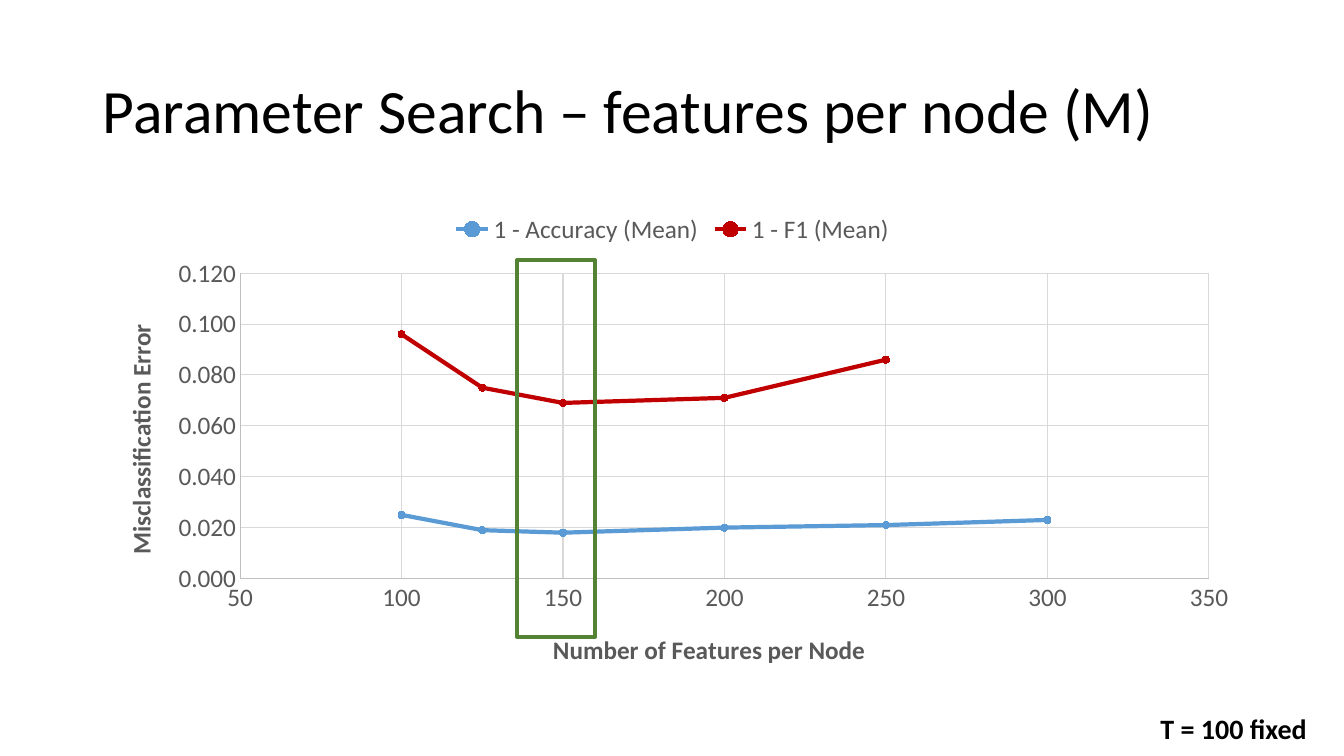
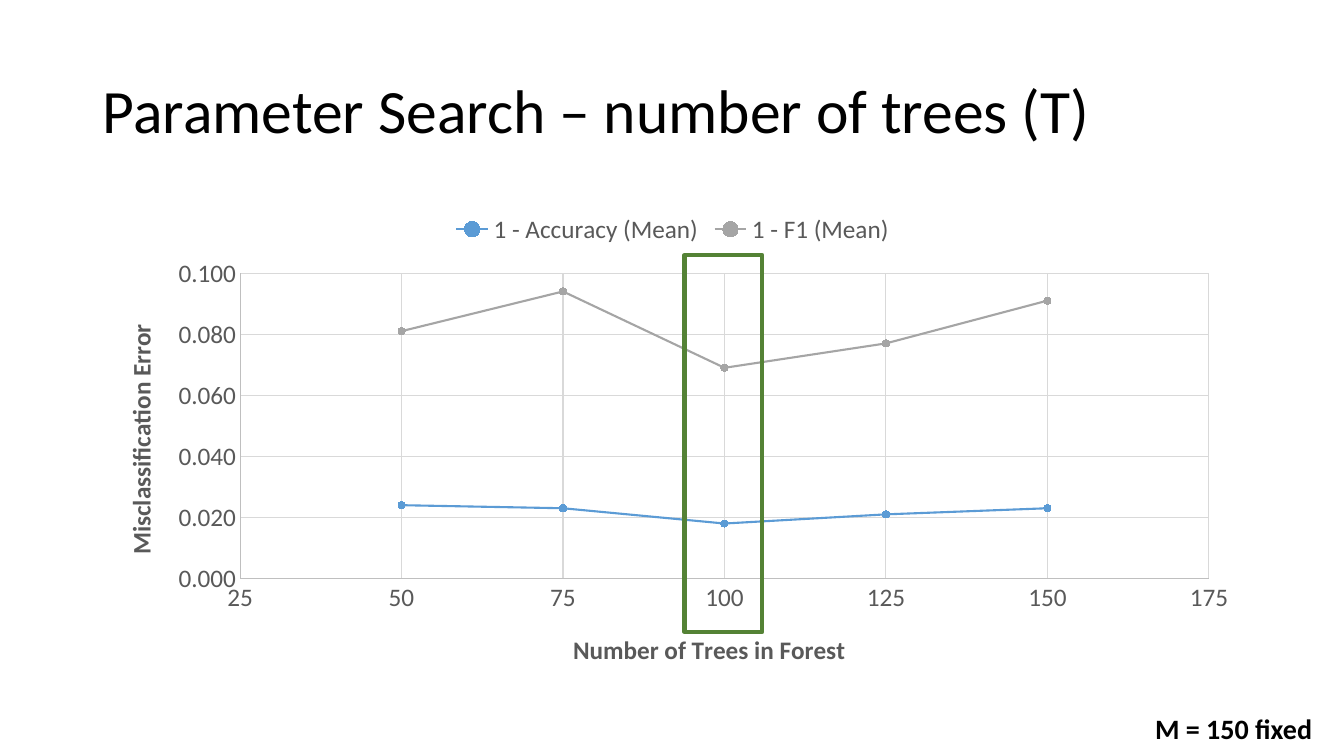
"""Build two parameter search slides, each with a scatter chart and a highlighted optimum."""
from dataclasses import dataclass
from typing import Any

from lxml import etree
from pptx import Presentation
from pptx import util as u
from pptx.chart import data
from pptx.dml import color
from pptx.enum import chart as ch
from pptx.enum import shapes, text
from pptx.oxml import ns

COLORS = {"black": "000000", "label": "595959", "axis": "BFBFBF", "grid": "D9D9D9",
          "blue": "5B9BD5", "red": "C00000", "gray": "A5A5A5", "green": "548235"}
FONT = "Calibri"
TITLE_FONT = {"name": FONT, "size": u.Pt(44), "bold": False}
NOTE_FONT = {"name": FONT, "size": u.Pt(20), "bold": True}
LABEL_FONT = {"name": FONT, "size": u.Pt(18), "bold": False}
AXIS_TITLE_FONT = LABEL_FONT | {"bold": True}
TITLE_FRAME = {"word_wrap": True, "auto_size": text.MSO_AUTO_SIZE.NONE,
               "vertical_anchor": text.MSO_ANCHOR.MIDDLE}
NOTE_FRAME = {"word_wrap": True, "auto_size": text.MSO_AUTO_SIZE.SHAPE_TO_FIT_TEXT}

Box = tuple[float, float, float, float]
TITLE_BOX: Box = (0.92, 0.4, 11.5, 1.45)
CHART_BOX: Box = (0.92, 2, 11.5, 4.76)
NOTE_BOX: Box = (11.14, 7.01, 2.19, 0.44)
PLOT_BOX: Box = (2.38, 2.71, 9.61, 3.03)
HIGHLIGHT_SIZE = (0.77, 3.74)


@dataclass(frozen=True)
class Curve:
    """A named series with its line and marker colours."""
    name: str
    values: list[float]
    line: str
    marker: str


@dataclass(frozen=True)
class Search:
    """One parameter search slide."""
    title: str
    note: str
    x_title: str
    x_title_left: float
    x: list[int]
    x_scale: tuple[int, int, int]
    y_max: float
    width: float
    curves: list[Curve]
    highlight: tuple[float, float]


SEARCHES = [
    Search("Parameter Search – features per node (M)", "T = 100 fixed",
           "Number of Features per Node", 5.44, [100, 125, 150, 200, 250, 300],
           (50, 350, 50), 0.12, 3,
           [Curve("1 - Accuracy (Mean)", [0.025, 0.019, 0.018, 0.02, 0.021, 0.023], "blue", "blue"),
            Curve("1 - F1 (Mean)", [0.096, 0.075, 0.069, 0.071, 0.086], "red", "gray")],
           (5.13, 2.58)),
    Search("Parameter Search – number of trees (T)", "M = 150 fixed",
           "Number of Trees in Forest", 5.64, [50, 75, 100, 125, 150],
           (25, 175, 25), 0.1, 1.5,
           [Curve("1 - Accuracy (Mean)", [0.024, 0.023, 0.018, 0.021, 0.023], "blue", "blue"),
            Curve("1 - F1 (Mean)", [0.081, 0.094, 0.069, 0.077, 0.091], "gray", "gray")],
           (6.79, 2.53)),
]


def rgb(name: str) -> color.RGBColor:
    """Return a palette colour."""
    return color.RGBColor.from_string(COLORS[name])


def apply(target: Any, values: dict[str, Any]) -> None:
    """Set each attribute named in values."""
    for name, value in values.items():
        setattr(target, name, value)


def style_font(font: Any, values: dict[str, Any], tint: str) -> None:
    """Format a font and colour it."""
    apply(font, values)
    font.color.rgb = rgb(tint)


def style_line(line: Any, tint: str, width: float) -> None:
    """Give a line its colour and its width in points."""
    line.color.rgb = rgb(tint)
    line.width = u.Pt(width)


def inches(values: tuple[float, ...]) -> list[u.Length]:
    """Convert numbers to lengths."""
    return [u.Inches(v) for v in values]


def set_layout(parent: Any, index: int, place: tuple[float, ...]) -> None:
    """Place a chart part at slide inches, with a size if one is given."""
    for old in parent.findall(ns.qn("c:layout")):
        parent.remove(old)
    layout = etree.Element(ns.qn("c:layout"))
    manual = etree.SubElement(layout, ns.qn("c:manualLayout"))
    left, top, width, height = CHART_BOX
    parts: dict[str, Any] = {"layoutTarget": "inner"} if len(place) == 4 else {}
    parts |= {"xMode": "edge", "yMode": "edge",
              "x": (place[0] - left) / width, "y": (place[1] - top) / height}
    if len(place) == 4:
        parts |= {"w": place[2] / width, "h": place[3] / height}
    for tag, value in parts.items():
        shown = value if isinstance(value, str) else f"{value:.4f}"
        etree.SubElement(manual, ns.qn(f"c:{tag}")).set("val", shown)
    parent.insert(index, layout)


def style_axis(axis: Any, title: str, place: tuple[float, float], turn: int,
               scale: tuple[float, float, float], number_format: str) -> None:
    """Format an axis with its scale, grid and title."""
    low, high, step = scale
    apply(axis, {"minimum_scale": low, "maximum_scale": high, "major_unit": step,
                 "has_major_gridlines": True, "major_tick_mark": ch.XL_TICK_MARK.NONE,
                 "minor_tick_mark": ch.XL_TICK_MARK.NONE})
    apply(axis.tick_labels, {"number_format": number_format, "number_format_is_linked": False})
    style_font(axis.tick_labels.font, LABEL_FONT, "label")
    style_line(axis.format.line, "axis", 0.75)
    style_line(axis.major_gridlines.format.line, "grid", 0.75)
    tf = axis.axis_title.text_frame
    r = tf.paragraphs[0].add_run()
    r.text = title
    style_font(r.font, AXIS_TITLE_FONT, "label")
    apply_turn = tf._txBody.bodyPr.set
    apply_turn("rot", str(turn * 60000))
    apply_turn("vert", "horz")
    set_layout(axis.axis_title._element, 1, place)


def add_chart(s: Any, search: Search) -> None:
    """Draw the smooth scatter chart of a search."""
    chart_data = data.XyChartData()
    for curve in search.curves:
        series = chart_data.add_series(curve.name)
        for x, y in zip(search.x, curve.values):
            series.add_data_point(x, y)
    chart = s.shapes.add_chart(ch.XL_CHART_TYPE.XY_SCATTER_SMOOTH, *inches(CHART_BOX),
                               chart_data).chart
    style_font(chart.font, {"name": FONT, "size": u.Pt(10)}, "black")
    apply(chart, {"has_title": False, "has_legend": True})
    apply(chart.legend, {"position": ch.XL_LEGEND_POSITION.TOP, "include_in_layout": False})
    style_font(chart.legend.font, LABEL_FONT, "label")
    plot = chart.plots[0]
    plot.vary_by_categories = False
    for series, curve in zip(plot.series, search.curves):
        series.smooth = True
        style_line(series.format.line, curve.line, search.width)
        apply(series.marker, {"style": ch.XL_MARKER_STYLE.CIRCLE, "size": 5})
        series.marker.format.fill.solid()
        series.marker.format.fill.fore_color.rgb = rgb(curve.marker)
        style_line(series.marker.format.line, curve.marker, 0.75)
    style_axis(chart.category_axis, search.x_title, (search.x_title_left, 6.23), 0,
               search.x_scale, "General")
    style_axis(chart.value_axis, "Misclassification Error", (1.18, 3.17), -90,
               (0, search.y_max, 0.02), "0.000")
    set_layout(chart._chartSpace.chart.plotArea, 0, PLOT_BOX)


def write(sp: Any, content: str, frame: dict[str, Any], font: dict[str, Any],
          paragraph: dict[str, Any]) -> None:
    """Write one formatted paragraph into a shape."""
    tf = sp.text_frame
    apply(tf, frame)
    p = tf.paragraphs[0]
    apply(p, paragraph)
    r = p.add_run()
    r.text = content
    style_font(r.font, font, "black")


def add_slide(prs: Any, search: Search) -> None:
    """Add one parameter search slide."""
    s = prs.slides.add_slide(prs.slide_layouts[5])
    title = s.shapes.title
    apply(title, dict(zip(("left", "top", "width", "height"), inches(TITLE_BOX))))
    write(title, search.title, TITLE_FRAME, TITLE_FONT,
          {"alignment": text.PP_ALIGN.LEFT, "line_spacing": 0.9})
    note = s.shapes.add_textbox(*inches(NOTE_BOX))
    write(note, search.note, NOTE_FRAME, NOTE_FONT, {"alignment": text.PP_ALIGN.CENTER})
    add_chart(s, search)
    highlight = s.shapes.add_shape(shapes.MSO_SHAPE.RECTANGLE,
                                   *inches(search.highlight + HIGHLIGHT_SIZE))
    highlight.shadow.inherit = False
    highlight.fill.background()
    style_line(highlight.line, "green", 3)


def main() -> None:
    """Build and save the presentation."""
    prs = Presentation()
    apply(prs, {"slide_width": u.Inches(13.33), "slide_height": u.Inches(7.5)})
    for search in SEARCHES:
        add_slide(prs, search)
    prs.save("out.pptx")


main()
